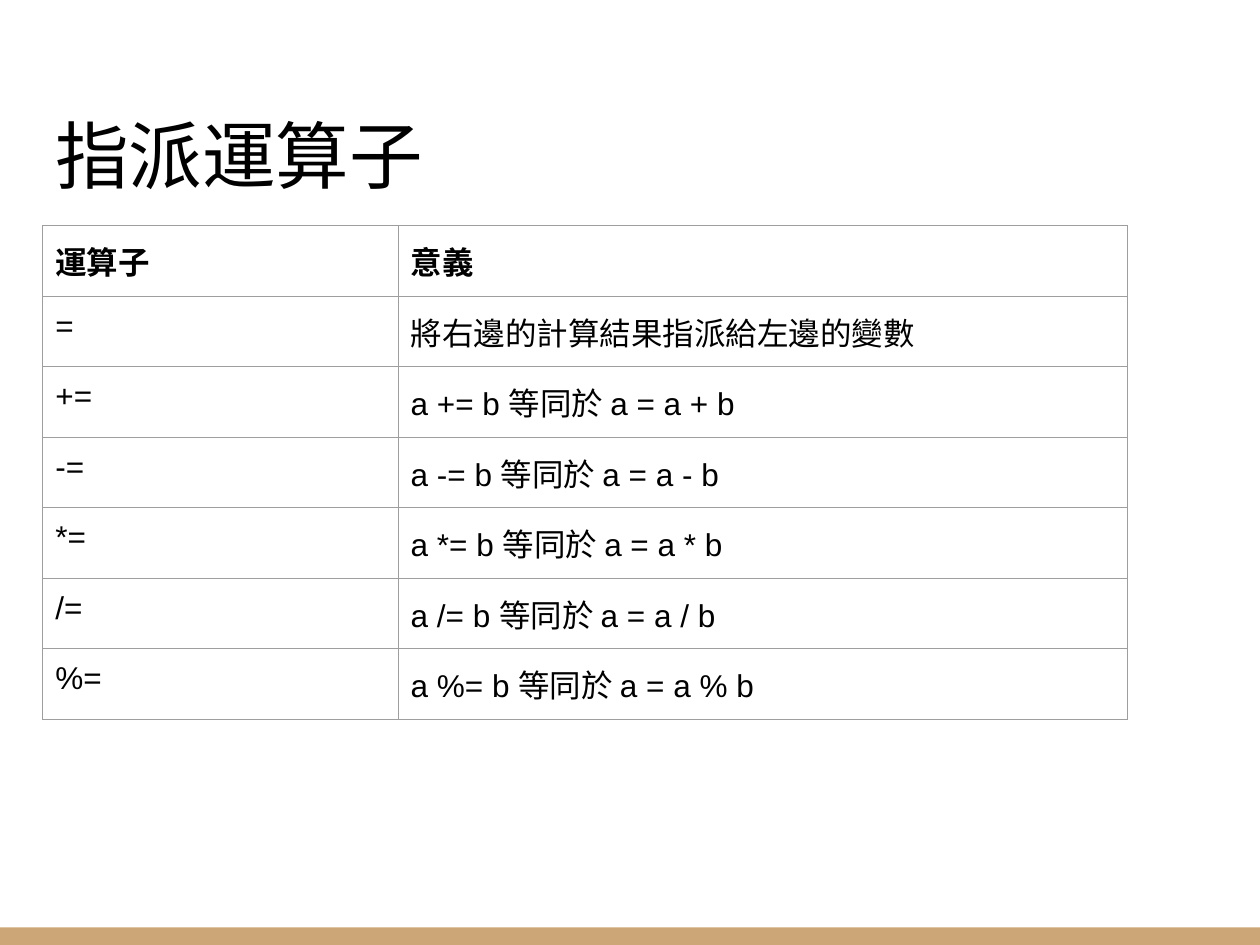
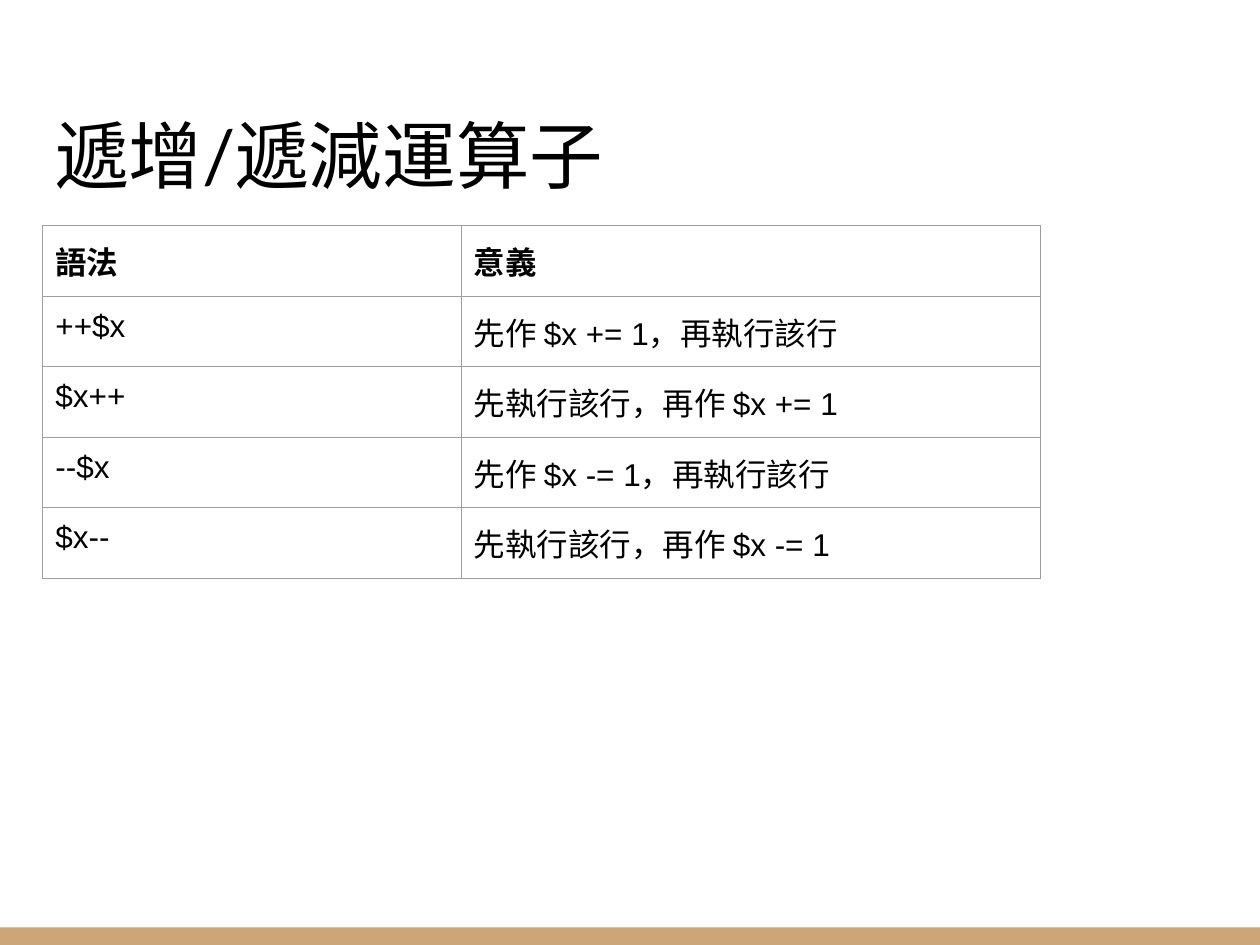
from pptx import Presentation
from pptx.dml.color import RGBColor
from pptx.enum import shapes, text
from pptx.oxml import ns
from pptx.util import Inches, Pt
from lxml import etree

INK = RGBColor(0x00, 0x00, 0x00)
PAPER = RGBColor(0xFF, 0xFF, 0xFF)
TAN = RGBColor(0xCC, 0xA6, 0x77)
GRID = RGBColor(0x9E, 0x9E, 0x9E)
GRID_WIDTH = Pt(0.75)
INSET = Inches(0.1)
ROW_HEIGHT = 0.56

SLIDE_SIZE = (10, 7.5)
FOOTER_BOX = (0, 7.36, 10, 0.14)
TITLE_BOX = (0.34, 0.46, 9.32, 1.21)
TABLE_ORIGIN = (0.34, 1.79)

TITLE_FONT = {"name": "Lato", "size": Pt(42), "bold": False}
BODY_FONT = {"name": "Arial", "size": Pt(18), "bold": False}
HEADER_FONT = {**BODY_FONT, "bold": True}
MARGINS = {f"margin_{side}": INSET for side in ("left", "top", "right", "bottom")}

ASSIGNMENT_ROWS = [
    ("運算子", "意義"),
    ("=", "將右邊的計算結果指派給左邊的變數"),
    *((f"{sign}=", f"a {sign}= b 等同於 a = a {sign} b") for sign in "+-*/%"),
]
STEP_ROWS = [("語法", "意義")]
for sign in "+-":
    STEP_ROWS += [
        (f"{sign * 2}$x", f"先作 $x {sign}= 1，再執行該行"),
        (f"$x{sign * 2}", f"先執行該行，再作 $x {sign}= 1"),
    ]

SLIDES = [
    ("指派運算子", (2.82, 5.79), ASSIGNMENT_ROWS),
    ("遞增/遞減運算子", (3.32, 4.6), STEP_ROWS),
]


def apply(target, values):
    """Set every attribute of a format dict on the target."""
    for key, value in values.items():
        setattr(target, key, value)


def write(frame, words, font):
    """Put one styled paragraph into a text frame."""
    run = frame.paragraphs[0].add_run()
    run.text = words
    apply(run.font, font)
    run.font.color.rgb = INK


def add_footer_band(slide, box):
    """Draw the coloured band in the given box."""
    band = slide.shapes.add_shape(shapes.MSO_SHAPE.RECTANGLE, *map(Inches, box))
    band.shadow.inherit = False
    band.fill.solid()
    band.fill.fore_color.rgb = TAN
    band.line.fill.background()


def add_title(slide, box, words):
    """Write the slide title at the bottom of the given box."""
    frame = slide.shapes.add_textbox(*map(Inches, box)).text_frame
    apply(frame, {**MARGINS, "word_wrap": True,
                  "vertical_anchor": text.MSO_ANCHOR.BOTTOM})
    write(frame, words, TITLE_FONT)


def outline(cell):
    """Give a cell thin grid lines on all four sides."""
    properties = cell._tc.get_or_add_tcPr()
    for side in "LRTB":
        edge = etree.SubElement(properties, ns.qn(f"a:ln{side}"), w=str(GRID_WIDTH))
        fill = etree.SubElement(edge, ns.qn("a:solidFill"))
        etree.SubElement(fill, ns.qn("a:srgbClr"), val=str(GRID))


def add_operator_table(slide, origin, widths, rows):
    """Build a grid of operators and meanings from its top left corner."""
    size = (sum(widths), ROW_HEIGHT * len(rows))
    table = slide.shapes.add_table(
        len(rows), len(widths), *map(Inches, (*origin, *size))).table
    apply(table, {"first_row": False, "horz_banding": False})
    for column, width in zip(table.columns, widths):
        column.width = Inches(width)
    for index, (row, entries) in enumerate(zip(table.rows, rows)):
        row.height = Inches(ROW_HEIGHT)
        for cell, words in zip(row.cells, entries):
            apply(cell, MARGINS)
            outline(cell)
            cell.fill.background()
            write(cell.text_frame, words, BODY_FONT if index else HEADER_FONT)


def add_operator_slide(deck, title, widths, rows):
    """Add a slide with the shared band, a title and a table."""
    slide = deck.slides.add_slide(deck.slide_layouts[6])
    slide.background.fill.solid()
    slide.background.fill.fore_color.rgb = PAPER
    add_footer_band(slide, FOOTER_BOX)
    add_title(slide, TITLE_BOX, title)
    add_operator_table(slide, TABLE_ORIGIN, widths, rows)


def main():
    """Build the deck and save it."""
    deck = Presentation()
    deck.slide_width, deck.slide_height = map(Inches, SLIDE_SIZE)
    for content in SLIDES:
        add_operator_slide(deck, *content)
    deck.save("out.pptx")


if __name__ == "__main__":
    main()
